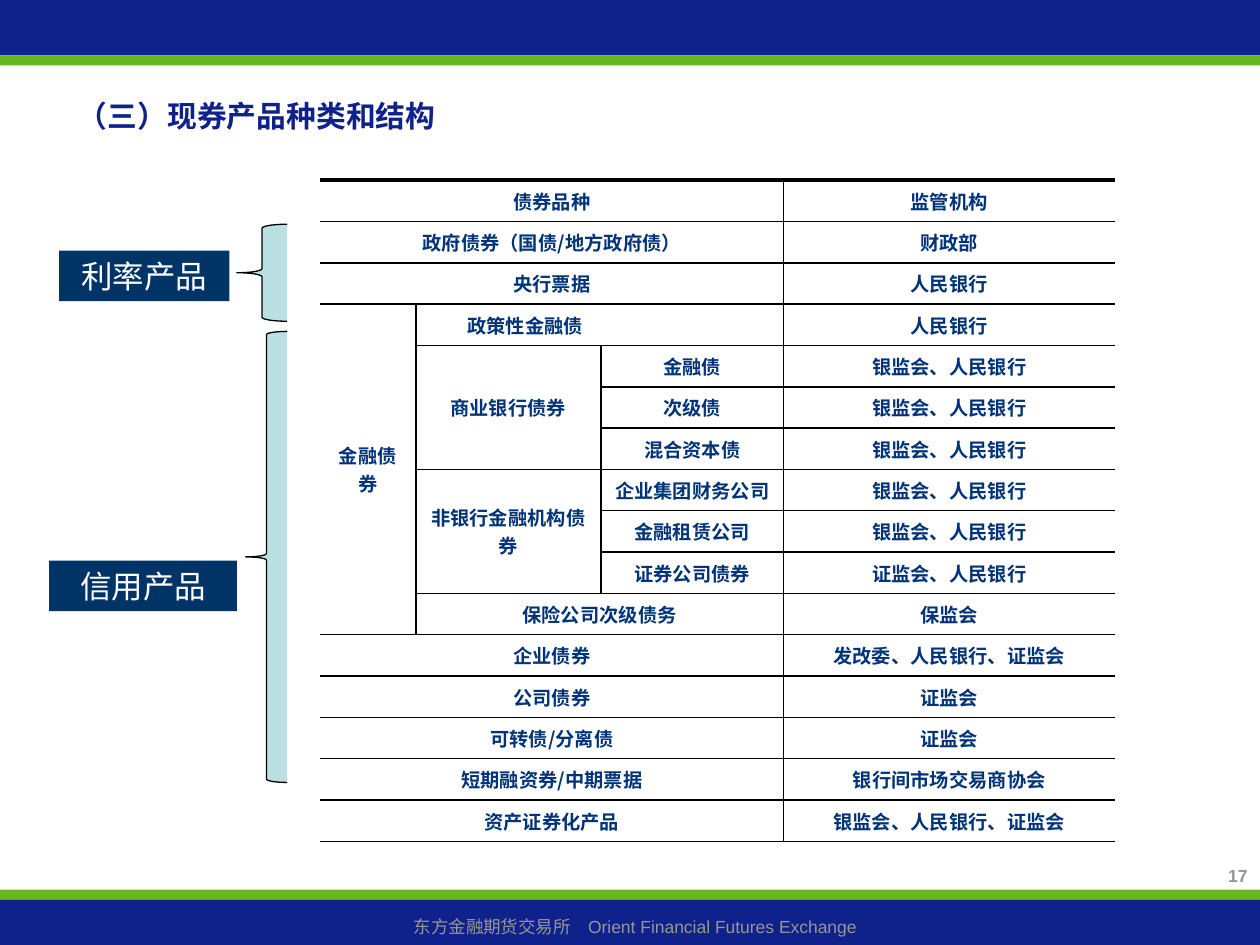
from lxml import etree
from pptx import Presentation
from pptx.dml.color import RGBColor
from pptx.enum.shapes import MSO_SHAPE
from pptx.enum.text import MSO_ANCHOR, PP_ALIGN
from pptx.oxml.ns import qn
from pptx.util import Inches, Pt

RECTANGLE, LEFT_BRACE = MSO_SHAPE.RECTANGLE, MSO_SHAPE.LEFT_BRACE
TOP, MIDDLE = MSO_ANCHOR.TOP, MSO_ANCHOR.MIDDLE
LEFT, CENTER, RIGHT = PP_ALIGN.LEFT, PP_ALIGN.CENTER, PP_ALIGN.RIGHT

BLACK = RGBColor(0x00, 0x00, 0x00)
WHITE = RGBColor(0xFF, 0xFF, 0xFF)
GREY = RGBColor(0x96, 0x96, 0x96)
NAVY = RGBColor(0x0F, 0x21, 0x8B)
GREEN = RGBColor(0x66, 0xB8, 0x21)
TABLE_BLUE = RGBColor(0x00, 0x33, 0x78)
LABEL_BLUE = RGBColor(0x00, 0x33, 0x66)
PALE_TEAL = RGBColor(0xBB, 0xE0, 0xE3)

GRID_COLUMNS, GRID_ROWS = 100, 75
TABLE_PLACE = (25.4, 14.3, 63.1, 52.5)
COLUMN_WIDTHS = (7.6, 14.7, 14.5, 26.3)
POLICY_BOND = "政策性金融债"

BOND_CELLS = [
    (0, 0, 1, 3, "债券品种"),
    (1, 0, 1, 3, "政府债券（国债/地方政府债）"),
    (2, 0, 1, 3, "央行票据"),
    (3, 0, 8, 1, "金融债券"),
    (3, 1, 1, 2, POLICY_BOND),
    (4, 1, 3, 1, "商业银行债券"),
    (4, 2, 1, 1, "金融债"),
    (5, 2, 1, 1, "次级债"),
    (6, 2, 1, 1, "混合资本债"),
    (7, 1, 3, 1, "非银行金融机构债券"),
    (7, 2, 1, 1, "企业集团财务公司"),
    (8, 2, 1, 1, "金融租赁公司"),
    (9, 2, 1, 1, "证券公司债券"),
    (10, 1, 1, 2, "保险公司次级债务"),
    (11, 0, 1, 3, "企业债券"),
    (12, 0, 1, 3, "公司债券"),
    (13, 0, 1, 3, "可转债/分离债"),
    (14, 0, 1, 3, "短期融资券/中期票据"),
    (15, 0, 1, 3, "资产证券化产品"),
]
REGULATORS = [
    "监管机构", "财政部", "人民银行", "人民银行",
    *["银监会、人民银行"] * 5,
    "证监会、人民银行", "保监会", "发改委、人民银行、证监会",
    "证监会", "证监会", "银行间市场交易商协会", "银监会、人民银行、证监会",
]


class SlideBuilder:
    latin_font = "Arial"
    chinese_font = "Noto Sans CJK SC"

    def __init__(self, presentation):
        self.column = presentation.slide_width / GRID_COLUMNS
        self.row = presentation.slide_height / GRID_ROWS
        self.slide = presentation.slides.add_slide(presentation.slide_layouts[6])

    def place(self, left, top, width, height):
        return (round(left * self.column), round(top * self.row),
                round(width * self.column), round(height * self.row))

    def fill_text(self, text_frame, text, size, color, bold=False, align=CENTER,
                  font=chinese_font):
        text_frame.word_wrap = True
        text_frame.text = text
        paragraph = text_frame.paragraphs[0]
        paragraph.alignment = align
        for run in paragraph.runs:
            run.font.name = font
            run.font.size = Pt(size)
            run.font.bold = bold
            run.font.color.rgb = color
            properties = run._r.get_or_add_rPr()
            etree.SubElement(properties, qn("a:ea"), typeface=self.chinese_font)

    def shape(self, kind, place, fill, line=None):
        shape = self.slide.shapes.add_shape(kind, *self.place(*place))
        shape.shadow.inherit = False
        shape.fill.solid()
        shape.fill.fore_color.rgb = fill
        if line is None:
            shape.line.fill.background()
        else:
            shape.line.color.rgb = line
            shape.line.width = Pt(0.75)
        return shape

    def text(self, place, text, size, color, anchor=TOP, **style):
        box = self.slide.shapes.add_textbox(*self.place(*place))
        box.text_frame.vertical_anchor = anchor
        self.fill_text(box.text_frame, text, size, color, **style)

    def label(self, place, text):
        shape = self.shape(RECTANGLE, place, LABEL_BLUE)
        shape.text_frame.vertical_anchor = MIDDLE
        self.fill_text(shape.text_frame, text, 18, WHITE)

    def brace(self, place):
        brace = self.shape(LEFT_BRACE, place, PALE_TEAL, BLACK)
        brace.adjustments[0] = 0.08

    def borders(self, cell, widths):
        properties = cell._tc.get_or_add_tcPr()
        for index, side in enumerate("LRTB"):
            line = etree.Element(qn(f"a:ln{side}"), w=str(Pt(widths[side])))
            if widths[side]:
                fill = etree.SubElement(line, qn("a:solidFill"))
                etree.SubElement(fill, qn("a:srgbClr"), val=str(BLACK))
            else:
                etree.SubElement(line, qn("a:noFill"))
            properties.insert(index, line)

    def table(self, place, column_widths, row_count, entries):
        column_count = len(column_widths)
        frame = self.slide.shapes.add_table(row_count, column_count, *self.place(*place))
        table = frame.table
        table.first_row = table.horz_banding = False
        for column, width in zip(table.columns, column_widths):
            column.width = round(width * self.column)
        for first_row, first_column, row_span, column_span, text in entries:
            last_row = first_row + row_span - 1
            last_column = first_column + column_span - 1
            origin = table.cell(first_row, first_column)
            if row_span * column_span > 1:
                origin.merge(table.cell(last_row, last_column))
            origin.vertical_anchor = MIDDLE
            self.fill_text(origin.text_frame, text, 11, TABLE_BLUE, bold=True)
            if text == POLICY_BOND:
                origin.text_frame.paragraphs[0].alignment = LEFT
                origin.margin_left = Inches(0.41)
            for row in range(first_row, last_row + 1):
                for column in range(first_column, last_column + 1):
                    cell = table.cell(row, column)
                    cell.fill.background()
                    top_width = 1 if row else 2.25
                    self.borders(cell, {
                        "L": int(column == first_column and column > 0),
                        "R": int(column == last_column and column < column_count - 1),
                        "T": top_width if row == first_row else 0,
                        "B": int(row == last_row),
                    })


def main():
    presentation = Presentation()
    presentation.slide_width, presentation.slide_height = Inches(10), Inches(7.5)
    builder = SlideBuilder(presentation)

    for top, height, color in ((0, 4.4, NAVY), (70.6, 0.8, GREEN),
                               (4.4, 0.8, GREEN), (71.4, 3.6, NAVY)):
        builder.shape(RECTANGLE, (0, top, GRID_COLUMNS, height), color)
    builder.text((0.8, 72.2, 99.2, 2.7), "东方金融期货交易所　Orient Financial Futures Exchange",
                 10, GREY, font=builder.latin_font)
    builder.text((5.2, 7.1, 90, 4.2), "（三）现券产品种类和结构", 17, NAVY,
                 anchor=MIDDLE, bold=True, align=LEFT)
    builder.text((80.3, 68.2, 19.7, 3.6), "17", 10, GREY, bold=True, align=RIGHT,
                 font=builder.latin_font)

    regulator_cells = [(row, 3, 1, 1, name) for row, name in enumerate(REGULATORS)]
    builder.table(TABLE_PLACE, COLUMN_WIDTHS, len(REGULATORS), BOND_CELLS + regulator_cells)

    builder.brace((18.8, 17.8, 4, 7.7))
    builder.brace((19.5, 26.3, 3.3, 35.8))
    builder.label((4.7, 19.9, 13.5, 4), "利率产品")
    builder.label((3.9, 44.5, 14.9, 4), "信用产品")
    presentation.save("out.pptx")


if __name__ == "__main__":
    main()
